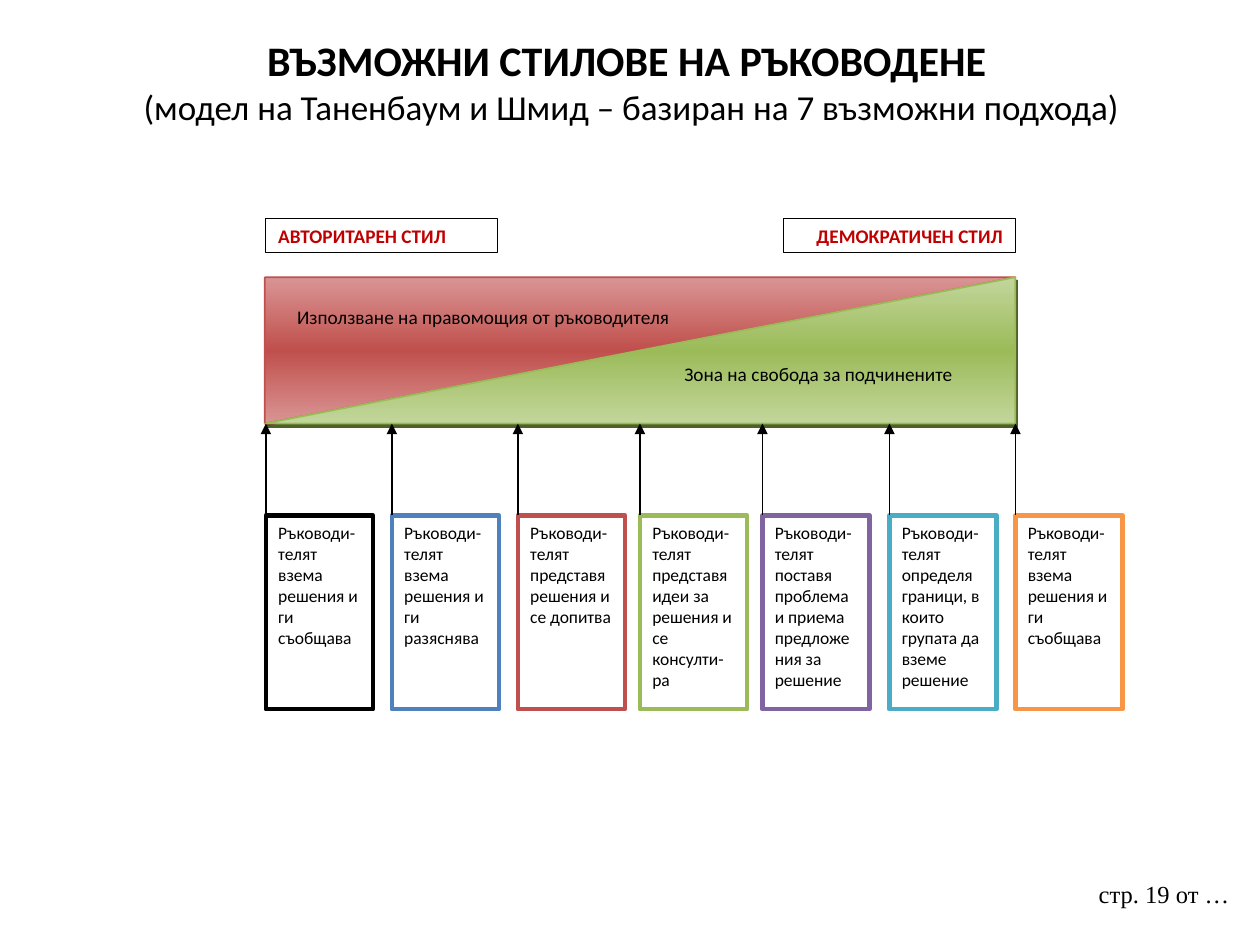
import copy

import pptx
import pptx.dml.color
import pptx.enum.shapes
import pptx.enum.text
import pptx.oxml
import pptx.oxml.ns
import pptx.util

Cm = pptx.util.Cm
Pt = pptx.util.Pt
RGBColor = pptx.dml.color.RGBColor
SHAPE = pptx.enum.shapes.MSO_SHAPE
ALIGN = pptx.enum.text.PP_ALIGN
ANCHOR = pptx.enum.text.MSO_ANCHOR
qn = pptx.oxml.ns.qn

BLACK = RGBColor(0x00, 0x00, 0x00)
WHITE = RGBColor(0xFF, 0xFF, 0xFF)
DARK_RED = RGBColor(0xC0, 0x00, 0x00)
BLUE = RGBColor(0x4F, 0x81, 0xBD)
RED = RGBColor(0xC0, 0x50, 0x4D)
LIGHT_RED = RGBColor(0xD9, 0x95, 0x94)
SHADOW_RED = RGBColor(0x62, 0x24, 0x23)
GREEN = RGBColor(0x9B, 0xBB, 0x59)
LIGHT_GREEN = RGBColor(0xC2, 0xD6, 0x9B)
SHADOW_GREEN = RGBColor(0x4E, 0x61, 0x28)
PURPLE = RGBColor(0x80, 0x64, 0xA2)
TEAL = RGBColor(0x4B, 0xAC, 0xC6)
ORANGE = RGBColor(0xF7, 0x96, 0x46)

APPROACHES = [
    (0, BLACK, "Ръководи-телят взема решения и ги съобщава"),
    (2.54, BLUE, "Ръководи-телят взема решения и ги разяснява"),
    (5.08, RED, "Ръководи-телят представя решения и се допитва"),
    (7.54, GREEN, "Ръководи-телят представя идеи за решения и се консулти-ра"),
    (10.01, PURPLE, "Ръководи-телят поставя проблема и приема предложения за решение"),
    (12.57, TEAL, "Ръководи-телят определя граници, в които групата да вземе решение"),
    (15.11, ORANGE, "Ръководи-телят взема решения и ги съобщава"),
]


def write_text(shape, text, size=11, font="Calibri", color=BLACK, bold=False,
               align=ALIGN.LEFT, anchor=ANCHOR.TOP):
    """Add a formatted run to the first paragraph of a shape."""
    frame = shape.text_frame
    frame.word_wrap = True
    frame.vertical_anchor = anchor
    paragraph = frame.paragraphs[0]
    paragraph.alignment = align
    run = paragraph.add_run()
    run.text = text
    run.font.size = Pt(size)
    run.font.name = font
    run.font.bold = bold
    run.font.color.rgb = color


def add_text_box(slide, left, top, width, height, text, **text_format):
    """Add a text box with one formatted run."""
    box = slide.shapes.add_textbox(Cm(left), Cm(top), Cm(width), Cm(height))
    write_text(box, text, **text_format)


def add_framed_box(slide, left, top, width, height, line_color, line_width, text, **text_format):
    """Add a white rectangle with a coloured outline and text."""
    box = slide.shapes.add_shape(SHAPE.RECTANGLE, Cm(left), Cm(top), Cm(width), Cm(height))
    box.shadow.inherit = False
    box.fill.solid()
    box.fill.fore_color.rgb = WHITE
    box.line.color.rgb = line_color
    box.line.width = Pt(line_width)
    write_text(box, text, **text_format)


def add_triangle(slide, left, top, width, height, color, light_color, shadow_color):
    """Add a mirrored right triangle with a banded gradient and a hard shadow."""
    triangle = slide.shapes.add_shape(
        SHAPE.RIGHT_TRIANGLE, Cm(left), Cm(top), Cm(width), Cm(height))
    properties = triangle._element.spPr
    properties.find(qn("a:xfrm")).set("flipH", "1")
    triangle.fill.gradient()
    triangle.fill.gradient_angle = 90
    stop_list = properties.find(".//" + qn("a:gsLst"))
    stop_list.append(copy.deepcopy(stop_list[0]))
    bands = zip(triangle.fill.gradient_stops, (0, 0.5, 1), (light_color, color, light_color))
    for stop, position, band_color in bands:
        stop.position = position
        stop.color.rgb = band_color
    triangle.line.color.rgb = color
    triangle.line.width = Pt(1)
    triangle.shadow.inherit = False
    properties.find(qn("a:effectLst")).append(pptx.oxml.parse_xml(
        f'<a:outerShdw {pptx.oxml.ns.nsdecls("a")} blurRad="0" dist="27940" dir="3780000" '
        f'algn="ctr" rotWithShape="0"><a:srgbClr val="{shadow_color}"/></a:outerShdw>'))
    return triangle


def add_arrow(slide, x, bottom, top):
    """Add a thin vertical arrow that points up."""
    arrow = slide.shapes.add_connector(
        pptx.enum.shapes.MSO_CONNECTOR.STRAIGHT, Cm(x), Cm(bottom), Cm(x), Cm(top))
    arrow.line.color.rgb = BLACK
    arrow.line.width = Pt(0.75)
    properties = arrow._element.spPr
    head = properties.find(qn("a:ln")).makeelement(qn("a:tailEnd"), {"type": "triangle"})
    properties.find(qn("a:ln")).append(head)
    properties.append(properties.makeelement(qn("a:effectLst"), {}))


def build_title(slide, left, top, width, height):
    """Place the title with its smaller second line."""
    title = slide.shapes.title
    title.left, title.top, title.width, title.height = map(Cm, (left, top, width, height))
    centred = {"align": ALIGN.CENTER, "anchor": ANCHOR.MIDDLE}
    write_text(title, "ВЪЗМОЖНИ СТИЛОВЕ НА РЪКОВОДЕНЕ ", size=24, bold=True, **centred)
    title.text_frame.paragraphs[0].add_line_break()
    write_text(title, "(модел на Таненбаум и Шмид – базиран на 7 възможни подхода)",
               size=20, **centred)


def build_style_labels(slide, left, top, width, height):
    """Place the two opposite style names at the ends of the region."""
    label_width = 4.67
    labels = [
        (left, "АВТОРИТАРЕН СТИЛ", ALIGN.LEFT),
        (left + width - label_width, "ДЕМОКРАТИЧЕН СТИЛ", ALIGN.RIGHT),
    ]
    for x, text, align in labels:
        add_framed_box(slide, x, top, label_width, height, BLACK, 0.75, text,
                       color=DARK_RED, bold=True, align=align)


def build_continuum(slide, left, top, width, height):
    """Draw the authority and freedom triangles with their captions."""
    authority = add_triangle(slide, left, top, width, height, RED, LIGHT_RED, SHADOW_RED)
    authority.rotation = 180
    freedom = add_triangle(slide, left, top, width, height, GREEN, LIGHT_GREEN, SHADOW_GREEN)
    frame = freedom.text_frame
    frame.margin_left = frame.margin_top = frame.margin_right = frame.margin_bottom = 0
    write_text(freedom, "Зона на свобода за подчинените", align=ALIGN.RIGHT)
    add_text_box(slide, left + 0.4, top + 0.43, 8.6, 0.76,
                 "Използване на правомощия от ръководителя")


def build_approaches(slide, left, top, height):
    """Draw the seven approaches, each with an arrow up to the continuum."""
    arrow_height = 1.85
    box_top = top + arrow_height
    for offset, color, text in APPROACHES:
        x = left + offset
        add_framed_box(slide, x, box_top, 2.16, height - arrow_height, color, 2.5, text, size=10)
        add_arrow(slide, x, box_top, top)


def main():
    """Build the slide and save it."""
    presentation = pptx.Presentation()
    presentation.slide_width = Cm(25.4)
    presentation.slide_height = Cm(19.05)
    slide = presentation.slides.add_slide(presentation.slide_layouts[5])
    build_title(slide, 1.3, 0.53, 22.86, 2.21)
    build_style_labels(slide, 5.36, 4.4, 15.11, 0.69)
    build_continuum(slide, 5.34, 5.59, 15.13, 2.95)
    build_approaches(slide, 5.36, 8.54, 5.76)
    add_text_box(slide, 21.9, 17.6, 3.3, 1.32, "стр. 19 от …",
                 size=14, font="Times New Roman")
    presentation.save("out.pptx")


if __name__ == "__main__":
    main()
